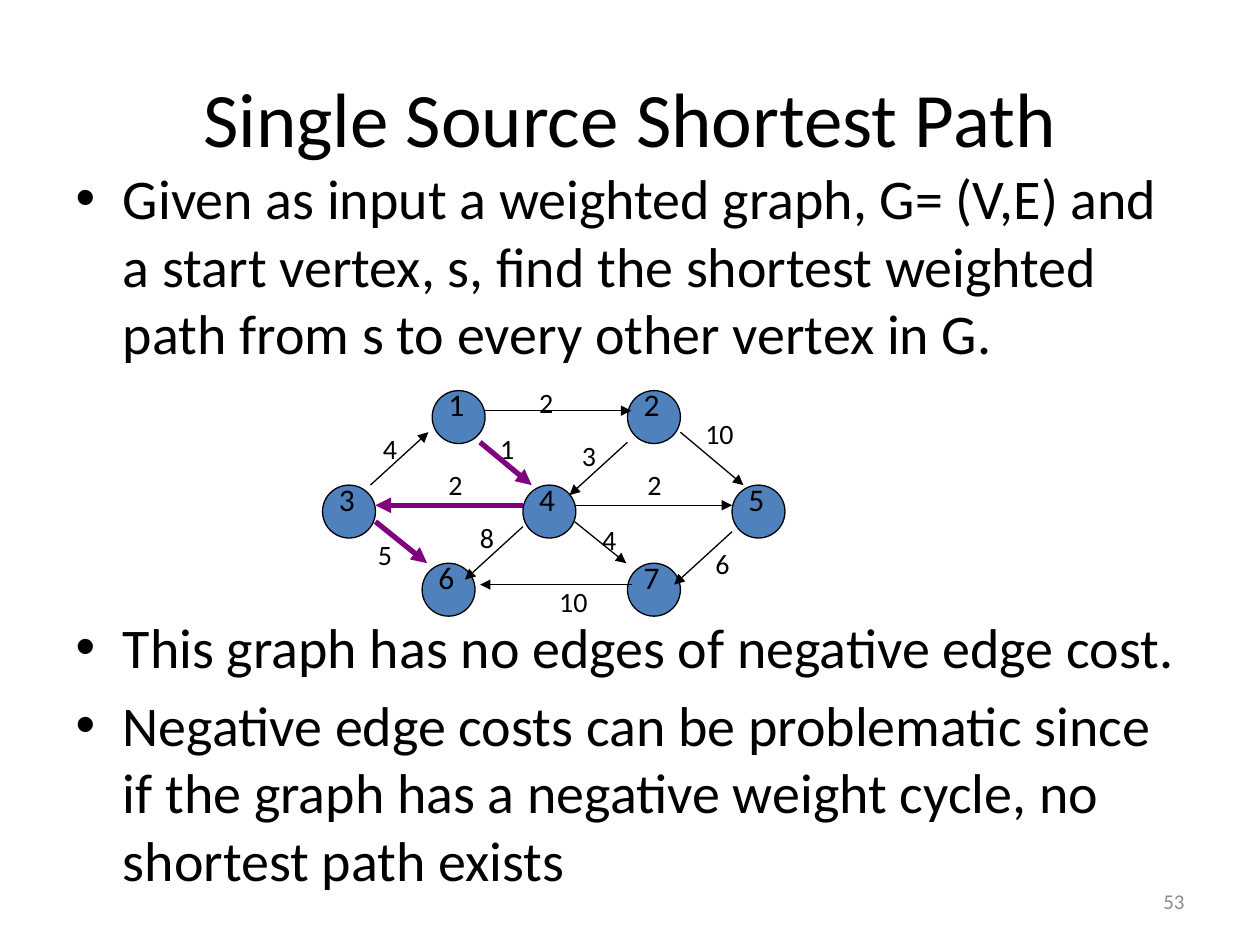
from dataclasses import dataclass

from lxml import etree
from pptx import Presentation, util as u
from pptx.dml.color import RGBColor
from pptx.enum import shapes, text
from pptx.oxml import ns
from pptx.shapes.group import GroupShape
from pptx.text.text import _Paragraph as Paragraph

Point = tuple[float, float]


@dataclass(frozen=True)
class Theme:
    font: str = "Calibri"
    ink: str = "000000"
    vertex_fill: str = "4F81BD"
    chosen: str = "800080"
    muted: str = "8C8C8C"
    title_size: int = 44
    body_size: int = 32
    vertex_size: int = 18
    weight_size: int = 16
    number_size: int = 12
    thin: float = 0.75
    thick: float = 3


@dataclass(frozen=True)
class Vertex:
    name: str
    corner: Point


@dataclass(frozen=True)
class Edge:
    start: Point
    end: Point
    weight: str
    weight_corner: Point
    chosen: bool = False


THEME = Theme()
DIAMETER = 0.42
GRAPH_GAP = 141
LABEL_INSETS = 0.2
DIGIT_WIDTH = 0.12
VERTICES = [
    Vertex("6", (3.35, 4.47)),
    Vertex("3", (2.56, 3.85)),
    Vertex("1", (3.43, 3.1)),
    Vertex("5", (5.81, 3.85)),
    Vertex("2", (4.98, 3.1)),
    Vertex("7", (4.98, 4.47)),
    Vertex("4", (4.15, 3.85)),
]
EDGES = [
    Edge((3.81, 3.51), (4.22, 3.85), "1", (3.87, 3.38), True),
    Edge((3.85, 3.26), (5.01, 3.26), "2", (4.18, 3.01)),
    Edge((5.02, 4.64), (3.81, 4.64), "10", (4.34, 4.59)),
    Edge((5.4, 3.43), (5.9, 3.85), "10", (5.5, 3.26)),
    Edge((2.98, 4.14), (3.39, 4.47), "5", (2.9, 4.22), True),
    Edge((4.56, 4.14), (4.97, 4.47), "4", (4.68, 4.1)),
    Edge((4.15, 4.18), (3.69, 4.6), "8", (3.71, 4.08)),
    Edge((5.81, 4.22), (5.35, 4.64), "6", (5.58, 4.29)),
    Edge((4.56, 4.01), (5.81, 4.01), "2", (5.04, 3.66)),
    Edge((4.15, 4.01), (2.98, 4.01), "2", (3.46, 3.66), True),
    Edge((4.98, 3.51), (4.52, 3.93), "3", (4.52, 3.43)),
    Edge((2.94, 3.85), (3.4, 3.43), "4", (2.94, 3.38)),
]
POINTS = [
    ("Given as input a weighted graph, G= (V,E) and a start vertex, s, "
     "find the shortest weighted path from s to every other vertex in G."),
    "This graph has no edges of negative edge cost.",
    ("Negative edge costs can be problematic since if the graph has "
     "a negative weight cycle, no shortest path exists"),
]


def add_run(paragraph: Paragraph, words: str, size: int, color: str = THEME.ink) -> None:
    """Append one formatted run."""
    run = paragraph.add_run()
    run.text = words
    run.font.name = THEME.font
    run.font.size = u.Pt(size)
    run.font.color.rgb = RGBColor.from_string(color)


def place(shape, left: float, top: float, width: float, height: float) -> None:
    """Set the position and size of a shape in inches."""
    shape.left, shape.top = u.Inches(left), u.Inches(top)
    shape.width, shape.height = u.Inches(width), u.Inches(height)


def add_label(graph: GroupShape, words: str, corner: Point, box: Point, size: int) -> None:
    """Write a short label that does not wrap."""
    label = graph.shapes.add_textbox(*map(u.Inches, corner + box))
    frame = label.text_frame
    frame.word_wrap = False
    frame.auto_size = text.MSO_AUTO_SIZE.SHAPE_TO_FIT_TEXT
    add_run(frame.paragraphs[0], words, size)


def add_vertex(graph: GroupShape, vertex: Vertex) -> None:
    """Draw a vertex circle with its name."""
    left, top = vertex.corner
    circle = graph.shapes.add_shape(
        shapes.MSO_SHAPE.OVAL, *map(u.Inches, (left, top, DIAMETER, DIAMETER)))
    circle.shadow.inherit = False
    circle.fill.solid()
    circle.fill.fore_color.rgb = RGBColor.from_string(THEME.vertex_fill)
    circle.line.color.rgb = RGBColor.from_string(THEME.ink)
    circle.line.width = u.Pt(THEME.thin)
    add_label(graph, vertex.name, (left + 0.03, top - 0.09), (0.38, 0.5), THEME.vertex_size)


def add_edge(graph: GroupShape, edge: Edge) -> None:
    """Draw a directed edge."""
    arrow = graph.shapes.add_connector(
        shapes.MSO_CONNECTOR.STRAIGHT, *map(u.Inches, edge.start + edge.end))
    arrow.line.color.rgb = RGBColor.from_string(THEME.chosen if edge.chosen else THEME.ink)
    arrow.line.width = u.Pt(THEME.thick if edge.chosen else THEME.thin)
    properties = arrow._element.spPr
    outline = properties.find(ns.qn("a:ln"))
    etree.SubElement(outline, ns.qn("a:tailEnd"), type="triangle")
    etree.SubElement(properties, ns.qn("a:effectLst"))


def main() -> None:
    """Build the shortest path slide."""
    deck = Presentation()
    deck.slide_width, deck.slide_height = u.Inches(10), u.Inches(7.5)
    slide = deck.slides.add_slide(deck.slide_layouts[1])

    title = slide.shapes.title
    place(title, 0.5, 0.3, 9, 1.25)
    add_run(title.text_frame.paragraphs[0], "Single Source Shortest Path", THEME.title_size)

    body = slide.placeholders[1]
    place(body, 0.5, 1.25, 9, 6.25)
    frame = body.text_frame
    frame.auto_size = text.MSO_AUTO_SIZE.NONE
    for index, point in enumerate(POINTS):
        paragraph = frame.add_paragraph() if index else frame.paragraphs[0]
        add_run(paragraph, point, THEME.body_size)
    frame.paragraphs[1].space_before = u.Pt(GRAPH_GAP)

    number = slide.shapes.add_textbox(*map(u.Inches, (7.17, 6.95, 2.33, 0.4)))
    number.text_frame.word_wrap = True
    number.text_frame.vertical_anchor = text.MSO_ANCHOR.MIDDLE
    page = number.text_frame.paragraphs[0]
    page.alignment = text.PP_ALIGN.RIGHT
    add_run(page, "53", THEME.number_size, THEME.muted)

    graph = slide.shapes.add_group_shape()
    for vertex in VERTICES:
        add_vertex(graph, vertex)
    for edge in EDGES:
        add_edge(graph, edge)
    for edge in EDGES:
        width = LABEL_INSETS + DIGIT_WIDTH * len(edge.weight)
        add_label(graph, edge.weight, edge.weight_corner, (width, 0.37), THEME.weight_size)

    deck.save("out.pptx")


if __name__ == "__main__":
    main()
